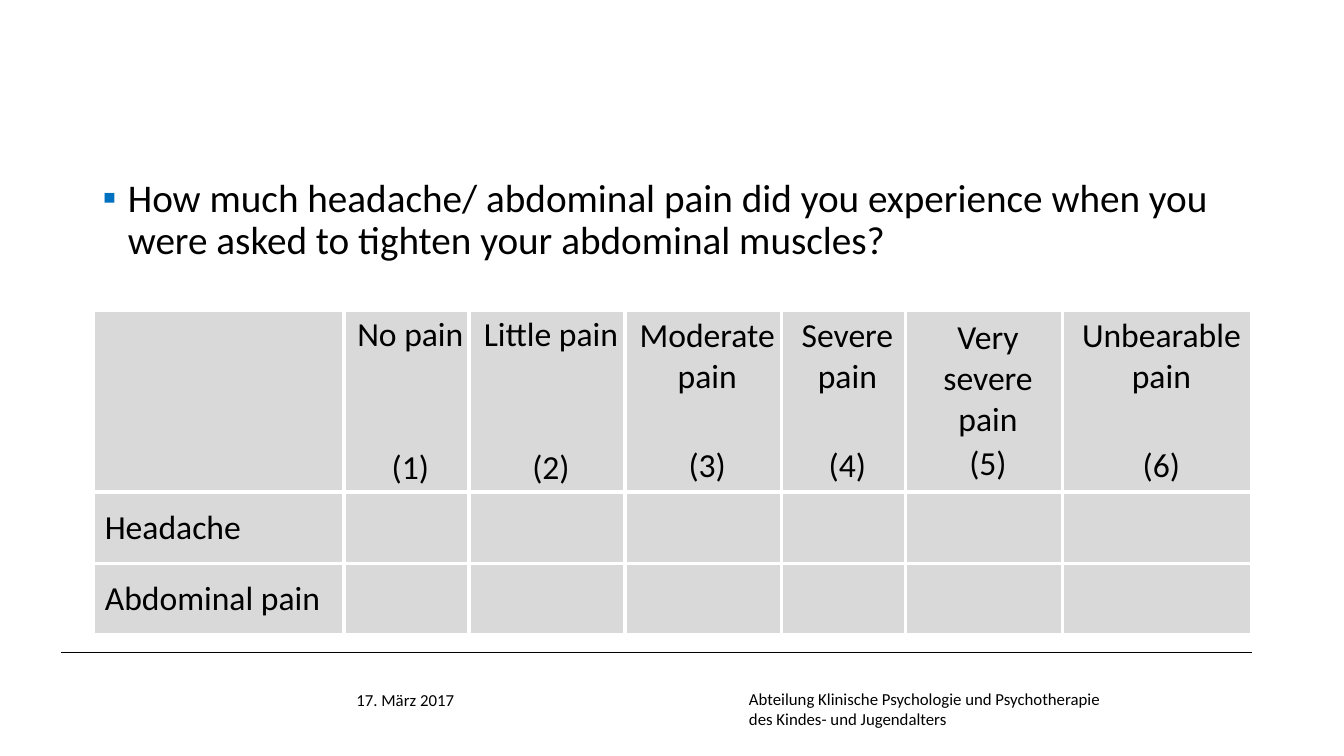
from lxml.etree import SubElement
from pptx import Presentation
from pptx.dml.color import RGBColor
from pptx.enum.shapes import MSO_CONNECTOR
from pptx.enum.text import MSO_ANCHOR, PP_ALIGN
from pptx.oxml.ns import qn
from pptx.util import Inches, Pt

BLACK, WHITE, GREY, BLUE = "000000", "FFFFFF", "D9D9D9", "0070C0"
COLS = [2.49, 1.24, 1.55, 1.55, 1.23, 1.56, 1.88]
ROWS = [1.8, 0.71, 0.71]
# Label of each answer and the number of lines left free below it
SCALE = [("No pain", 2), ("Little pain", 2), ("Moderate pain", 1),
         ("Severe pain", 1), ("Very severe pain", 0), ("Unbearable pain", 1)]
ITEMS = ["Headache", "Abdominal pain"]
LINE = 31.7  # points taken by one line of 24 pt text with its spacing


def color(code):
    return RGBColor.from_string(code)


def style(para, size, align=PP_ALIGN.LEFT):
    para.alignment = align
    for run in para.runs:
        font = run.font
        font.name, font.size, font.bold = "Calibri", Pt(size), False
        font.color.rgb = color(BLACK)


def add_text(slide, box, text, size, align=PP_ALIGN.LEFT):
    frame = slide.shapes.add_textbox(*map(Inches, box)).text_frame
    frame.word_wrap = True
    para = frame.paragraphs[0]
    para.text = text
    style(para, size, align)
    return para


def add_bullet(para, char, code):
    props = para._p.get_or_add_pPr()
    props.set("marL", str(Inches(0.25)))
    props.set("indent", str(-Inches(0.25)))
    tint = SubElement(props, qn("a:buClr"))
    SubElement(tint, qn("a:srgbClr"), val=code)
    SubElement(props, qn("a:buFont"), typeface="Arial")
    SubElement(props, qn("a:buChar"), char=char)


def set_cell(cell):
    props = cell._tc.get_or_add_tcPr()
    for side in ("lnL", "lnR", "lnT", "lnB"):
        edge = SubElement(props, qn("a:" + side), w=str(Pt(3)))
        fill = SubElement(edge, qn("a:solidFill"))
        SubElement(fill, qn("a:srgbClr"), val=WHITE)
    cell.fill.solid()
    cell.fill.fore_color.rgb = color(GREY)
    cell.vertical_anchor = MSO_ANCHOR.MIDDLE
    cell.margin_left = Inches(0.12)
    cell.margin_right = cell.margin_top = cell.margin_bottom = Inches(0.04)


def fill_cell(cell, text, align=PP_ALIGN.LEFT):
    cell.text_frame.text = text
    for para in cell.text_frame.paragraphs:
        style(para, 24, align)
        para.space_after = Pt(2.4)


def add_question(slide, box):
    para = add_text(slide, box, "How much headache/ abdominal pain did you "
                    "experience when you were asked to tighten your "
                    "abdominal muscles?", 28)
    para.line_spacing = 0.9
    para.space_before = Pt(10)
    add_bullet(para, "▪", BLUE)


def add_scale(slide, box):
    table = slide.shapes.add_table(
        len(ROWS), len(COLS), *map(Inches, box)).table
    table.first_row = table.horz_banding = False
    for col, width in zip(table.columns, COLS):
        col.width = Inches(width)
    for row, height in zip(table.rows, ROWS):
        row.height = Inches(height)
    for cell in table.iter_cells():
        set_cell(cell)
    # Answers with their numbers
    for num, (label, free) in enumerate(SCALE, 1):
        cell = table.cell(0, num)
        fill_cell(cell, f"{label}\n({num})", PP_ALIGN.CENTER)
        cell.text_frame.paragraphs[1].space_before = Pt(free * LINE)
    # Items to rate
    for row, item in enumerate(ITEMS, 1):
        fill_cell(table.cell(row, 0), item)


def add_footer(slide, box):
    left, top, width, _ = box
    # Rule
    rule = slide.shapes.add_connector(
        MSO_CONNECTOR.STRAIGHT, Inches(left), Inches(top),
        Inches(left + width), Inches(top))
    rule.line.color.rgb = color(BLACK)
    rule.line.width = Pt(0.5)
    SubElement(rule._element.spPr, qn("a:effectLst"))
    # Date and department
    add_text(slide, (left + 1.91, top + 0.32, 3, 0.4), "17. März 2017", 12,
             PP_ALIGN.CENTER)
    add_text(slide, (left + 6.72, top + 0.31, 3.71, 0.5),
             "Abteilung Klinische Psychologie und Psychotherapie\v"
             "des Kindes- und Jugendalters", 12)


def main():
    deck = Presentation()
    deck.slide_width, deck.slide_height = Inches(13.33), Inches(7.5)
    slide = deck.slides.add_slide(deck.slide_layouts[6])
    add_footer(slide, (0.61, 6.47, 11.81, 0.81))
    add_question(slide, (0.92, 1.72, 11.5, 1.2))
    add_scale(slide, (0.92, 3.08, sum(COLS), sum(ROWS)))
    deck.save("out.pptx")


if __name__ == "__main__":
    main()
